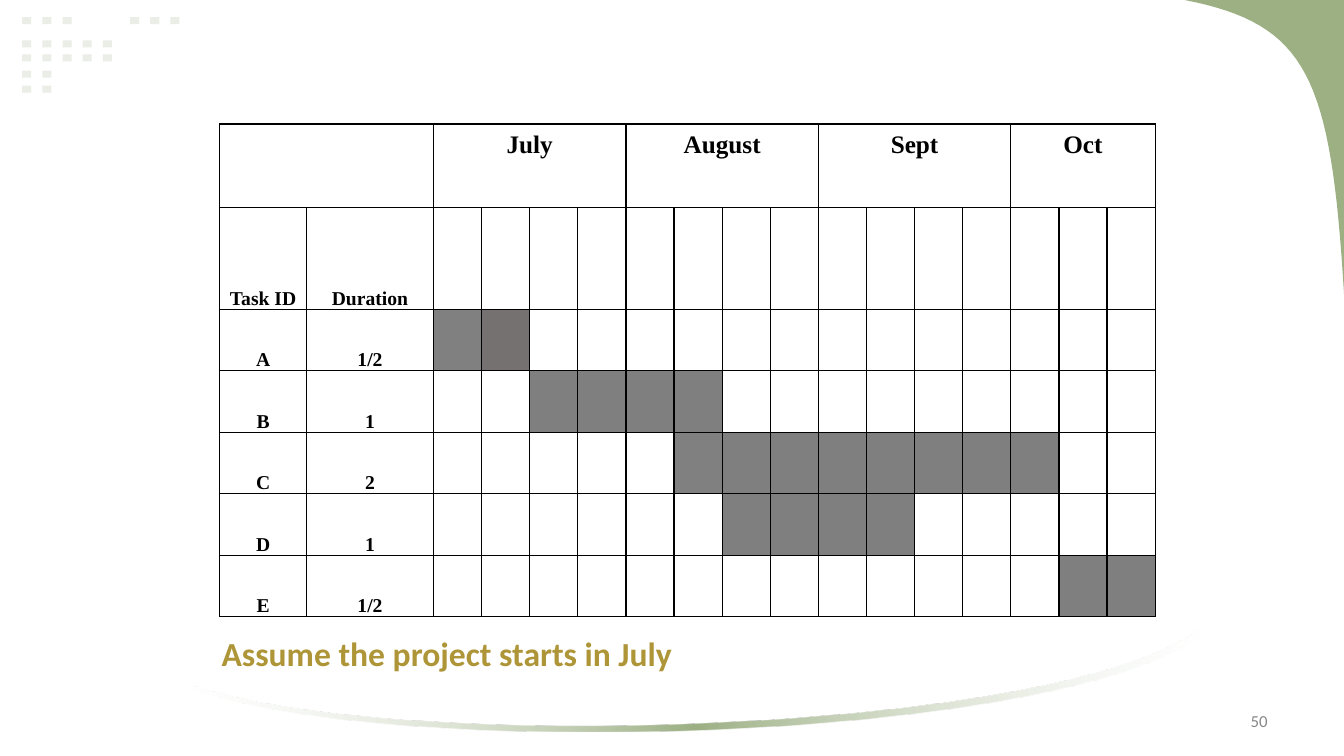
from dataclasses import dataclass

from lxml import etree
from pptx import Presentation
from pptx import util as u
from pptx.dml.color import RGBColor
from pptx.enum import shapes, text
from pptx.oxml import ns

BLACK = RGBColor(0x00, 0x00, 0x00)
WHITE = RGBColor(0xFF, 0xFF, 0xFF)
SAGE = RGBColor(0x9C, 0xB0, 0x84)
PALE_SAGE = RGBColor(0xEA, 0xEE, 0xE6)
GOLD = RGBColor(0xAE, 0x96, 0x38)
PAGE_GRAY = RGBColor(0x88, 0x88, 0x88)
BAR = RGBColor(0x7F, 0x7F, 0x7F)
BAR_START = RGBColor(0x80, 0x80, 0x80)
BAR_WARM = RGBColor(0x76, 0x71, 0x71)

Point = tuple[float, float]


@dataclass(frozen=True)
class DotRow:
    left: float
    top: float
    count: int


@dataclass(frozen=True)
class Curve:
    """A cubic curve given by its ends and two control points."""
    start: Point
    control1: Point
    control2: Point
    end: Point


@dataclass(frozen=True)
class Month:
    name: str
    weeks: int


@dataclass(frozen=True)
class Task:
    name: str
    duration: str
    first_week: int
    bars: tuple[RGBColor, ...]


@dataclass(frozen=True)
class Label:
    left: float
    top: float
    width: float
    height: float
    words: str
    size: int
    color: RGBColor
    bold: bool
    align: text.PP_ALIGN
    anchor: text.MSO_ANCHOR


DOT_ROWS = [
    DotRow(0.22, 0.17, 3), DotRow(1.29, 0.17, 3), DotRow(0.22, 0.4, 5),
    DotRow(0.22, 0.54, 5), DotRow(0.22, 0.7, 2), DotRow(0.22, 0.85, 2),
]
DOT_PITCH = 0.2
CORNER = Curve((13.33, 2.91), (13.2, 0.76), (12.97, 0.24), (11.75, 0))
SWOOSH_BOTTOM = Curve((11.89, 6.32), (10.45, 7.36), (3.81, 7.54), (1.89, 6.82))
SWOOSH_TOP = Curve((1.89, 6.79), (3.89, 7.48), (10.5, 7.27), (11.89, 6.25))

MONTHS = [Month("July", 4), Month("August", 4), Month("Sept", 4), Month("Oct", 3)]
TASKS = [
    Task("A", "1/2", 0, (BAR_START, BAR_WARM)),
    Task("B", "1", 2, (BAR,) * 4),
    Task("C", "2", 5, (BAR_START,) + (BAR,) * 7),
    Task("D", "1", 6, (BAR,) * 4),
    Task("E", "1/2", 13, (BAR,) * 2),
]
LABEL_WIDTHS = [0.86, 1.26]
ROW_HEIGHTS = [0.83, 1.01] + [0.61] * len(TASKS)
TABLE_WIDTH = 9.28

LABELS = [
    Label(9.56, 6.95, 3.11, 0.4, "50", 12, PAGE_GRAY, False,
          text.PP_ALIGN.RIGHT, text.MSO_ANCHOR.MIDDLE),
    Label(2.1, 6.11, 11.23, 0.62, "Assume the project starts in July", 24, GOLD, True,
          text.PP_ALIGN.LEFT, text.MSO_ANCHOR.BOTTOM),
]


def add_run(p, words: str, font: str, size: int, color: RGBColor, bold: bool) -> None:
    r = p.add_run()
    r.text = words
    r.font.name = font
    r.font.size = u.Pt(size)
    r.font.bold = bold
    r.font.color.rgb = color


def paint(sp, color: RGBColor) -> None:
    sp.shadow.inherit = False
    sp.fill.solid()
    sp.fill.fore_color.rgb = color
    sp.line.fill.background()


def draw_dots(s, row: DotRow) -> None:
    for i in range(row.count):
        sp = s.shapes.add_shape(
            shapes.MSO_SHAPE.RECTANGLE, u.Inches(row.left + i * DOT_PITCH),
            u.Inches(row.top), u.Inches(0.09), u.Inches(0.07))
        paint(sp, PALE_SAGE)


def curve_points(c: Curve, steps: int = 32) -> list[Point]:
    points = []
    for i in range(steps + 1):
        t = i / steps
        weights = ((1 - t) ** 3, 3 * t * (1 - t) ** 2, 3 * t * t * (1 - t), t ** 3)
        ends = (c.start, c.control1, c.control2, c.end)
        points.append((sum(w * e[0] for w, e in zip(weights, ends)),
                       sum(w * e[1] for w, e in zip(weights, ends))))
    return points


def draw_outline(s, points: list[Point]):
    first, *rest = [(u.Inches(x), u.Inches(y)) for x, y in points]
    builder = s.shapes.build_freeform(*first)
    builder.add_line_segments(rest, close=True)
    sp = builder.convert_to_shape()
    paint(sp, SAGE)
    return sp


def fade_ends(sp) -> None:
    """Fill with a level gradient that is translucent white at both ends."""
    sp.fill.gradient()
    sp.fill.gradient_angle = 0
    stops = sp._element.spPr.find(".//" + ns.qn("a:gsLst"))
    for stop in list(stops):
        stops.remove(stop)
    for pos, color, alpha in ((0, WHITE, 30), (50, SAGE, 100), (100, WHITE, 30)):
        stop = etree.SubElement(stops, ns.qn("a:gs"), pos=str(pos * 1000))
        rgb = etree.SubElement(stop, ns.qn("a:srgbClr"), val=str(color))
        etree.SubElement(rgb, ns.qn("a:alpha"), val=str(alpha * 1000))


def set_borders(cell, hidden: str = "") -> None:
    """Rule all four sides in black, except the hidden one."""
    tc_pr = cell._tc.get_or_add_tcPr()
    for i, side in enumerate(("lnL", "lnR", "lnT", "lnB")):
        ln = etree.Element(ns.qn("a:" + side), w=str(u.Pt(1)))
        if side == hidden:
            etree.SubElement(ln, ns.qn("a:noFill"))
        else:
            fill = etree.SubElement(ln, ns.qn("a:solidFill"))
            etree.SubElement(fill, ns.qn("a:srgbClr"), val=str(BLACK))
        tc_pr.insert(i, ln)


def write_cell(cell, words: str, size: int) -> None:
    p = cell.text_frame.paragraphs[0]
    p.alignment = text.PP_ALIGN.CENTER
    p.line_spacing = 1.07
    add_run(p, words, "Times New Roman", size, BLACK, True)


def write_row_labels(table, row: int, words: tuple[str, str]) -> None:
    for col, word in enumerate(words):
        cell = table.cell(row, col)
        cell.vertical_anchor = text.MSO_ANCHOR.BOTTOM
        cell.margin_left = cell.margin_right = u.Inches(0.07)
        cell.margin_top, cell.margin_bottom = u.Inches(0.01), 0
        write_cell(cell, word, 14)


def draw_schedule(s) -> None:
    weeks = sum(m.weeks for m in MONTHS)
    week_width = (TABLE_WIDTH - sum(LABEL_WIDTHS)) / weeks
    widths = LABEL_WIDTHS + [week_width] * weeks
    table = s.shapes.add_table(
        len(ROW_HEIGHTS), len(widths), u.Inches(2.18), u.Inches(1.23),
        u.Inches(TABLE_WIDTH), u.Inches(sum(ROW_HEIGHTS))).table
    table.first_row = table.horz_banding = False
    for column, width in zip(table.columns, widths):
        column.width = u.Inches(width)
    for row, height in zip(table.rows, ROW_HEIGHTS):
        row.height = u.Inches(height)
    hidden_sides = {(0, 0): "lnR", (0, 1): "lnL"}
    for i in range(len(ROW_HEIGHTS)):
        for j in range(len(widths)):
            cell = table.cell(i, j)
            cell.fill.background()
            set_borders(cell, hidden_sides.get((i, j), ""))

    col = len(LABEL_WIDTHS)
    for month in MONTHS:
        table.cell(0, col).merge(table.cell(0, col + month.weeks - 1))
        write_cell(table.cell(0, col), month.name, 18)
        col += month.weeks
    write_row_labels(table, 1, ("Task ID", "Duration"))
    for i, task in enumerate(TASKS, start=2):
        write_row_labels(table, i, (task.name, task.duration))
        for j, color in enumerate(task.bars, start=len(LABEL_WIDTHS) + task.first_week):
            cell = table.cell(i, j)
            cell.fill.solid()
            cell.fill.fore_color.rgb = color


def draw_label(s, label: Label) -> None:
    sp = s.shapes.add_textbox(u.Inches(label.left), u.Inches(label.top),
                              u.Inches(label.width), u.Inches(label.height))
    tf = sp.text_frame
    tf.word_wrap = True
    tf.vertical_anchor = label.anchor
    p = tf.paragraphs[0]
    p.alignment = label.align
    add_run(p, label.words, "Calibri", label.size, label.color, label.bold)


def main() -> None:
    prs = Presentation()
    prs.slide_width, prs.slide_height = u.Inches(13.33), u.Inches(7.5)
    s = prs.slides.add_slide(prs.slide_layouts[6])
    for row in DOT_ROWS:
        draw_dots(s, row)
    draw_outline(s, [(13.33, 0)] + curve_points(CORNER))
    fade_ends(draw_outline(s, curve_points(SWOOSH_BOTTOM) + curve_points(SWOOSH_TOP)))
    draw_schedule(s)
    for label in LABELS:
        draw_label(s, label)
    prs.save("out.pptx")


if __name__ == "__main__":
    main()
